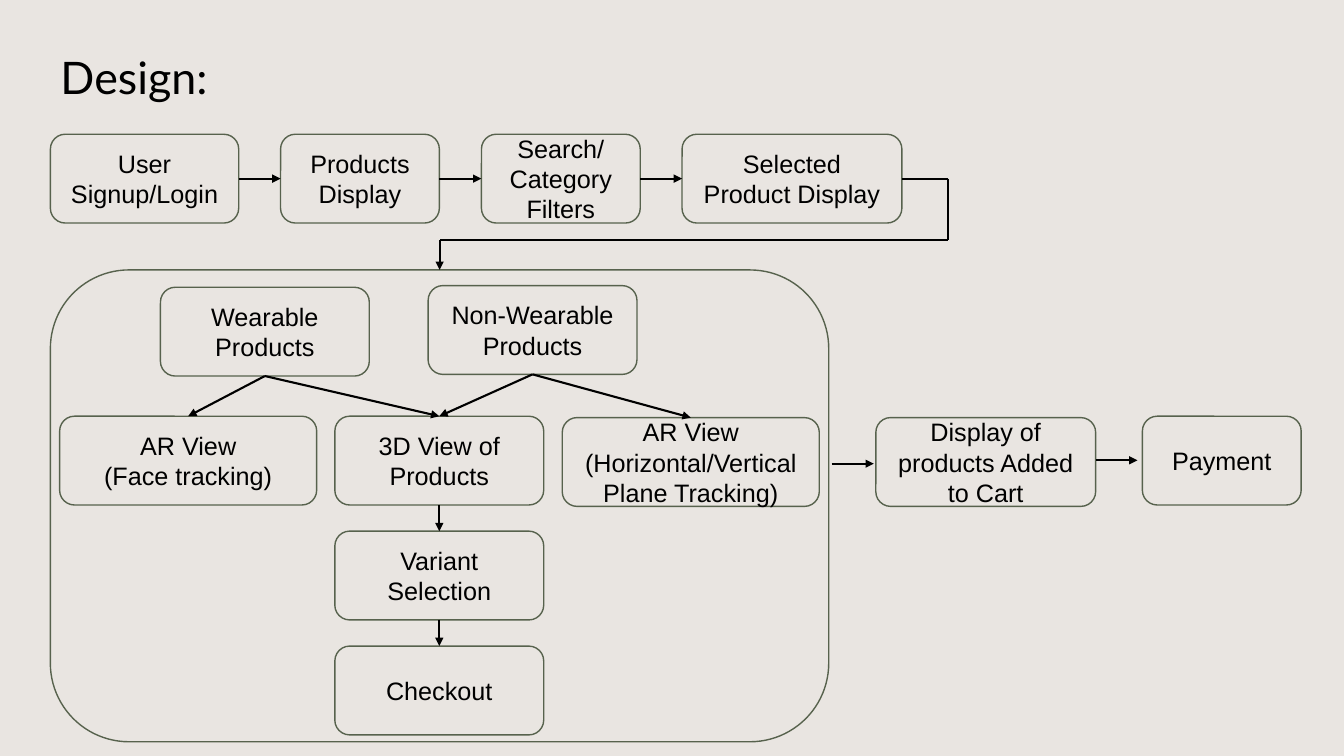
from itertools import pairwise

from pptx import Presentation
from pptx.dml.color import RGBColor
from pptx.enum import shapes, text
from pptx.oxml import parse_xml
from pptx.oxml.ns import nsdecls
from pptx.util import Pt

COLORS = {"background": "E9E5E1", "outline": "57624D", "ink": "000000"}
TITLE = ("Design:", (36, 28.8, 858.2, 51.8))
BOX_H = 63.4
CONTAINER = (36, 192.8, 556, 337)

# key: (left, top, width, paragraphs)
BOXES = {
    "signup": (36, 95.9, 134.5, ["User Signup/Login"]),
    "products": (200.4, 95.9, 113.4, ["Products Display"]),
    "search": (343.9, 95.9, 113.4, ["Search/", "Category Filters"]),
    "selected": (487.2, 95.9, 157, ["Selected Product Display"]),
    "wearable": (114.6, 205.2, 149.2, ["Wearable Products"]),
    "non_wearable": (305.8, 204, 149.2, ["Non-Wearable Products"]),
    "face_ar": (42.6, 297.3, 183.6, ["AR View", "(Face tracking)"]),
    "view_3d": (239.2, 297.3, 149.2, ["3D View of Products"]),
    "plane_ar": (401.6, 298.3, 183.6,
                 ["AR View (Horizontal/Vertical Plane Tracking)"]),
    "variant": (239.2, 379.4, 149.2, ["Variant Selection"]),
    "checkout": (239.2, 461.5, 149.2, ["Checkout"]),
    "cart": (625.6, 298.3, 157, ["Display of", "products Added to Cart"]),
    "payment": (816, 297.3, 113.4, ["Payment"]),
}
ACROSS = [("signup", "products"), ("products", "search"),
          ("search", "selected")]
DOWN = [("wearable", "face_ar"), ("wearable", "view_3d"),
        ("non_wearable", "view_3d"), ("non_wearable", "plane_ar"),
        ("view_3d", "variant"), ("variant", "checkout")]
TOP, LEFT, BOTTOM, RIGHT = range(4)  # connection sites of a rounded box


def rgb(name):
    return RGBColor.from_string(COLORS[name])


def style_text(tf, size, font, align):
    tf.word_wrap = True
    tf.vertical_anchor = text.MSO_ANCHOR.MIDDLE
    for p in tf.paragraphs:
        p.alignment = align
        for r in p.runs:
            for name, value in {"size": Pt(size), "name": font, "bold": False}.items():
                setattr(r.font, name, value)
            r.font.color.rgb = rgb("ink")


def add_box(left, top, width, height, paragraphs=()):
    sp = slide.shapes.add_shape(shapes.MSO_SHAPE.ROUNDED_RECTANGLE,
                                *map(Pt, (left, top, width, height)))
    sp.shadow.inherit = False
    sp.fill.background()
    sp.line.color.rgb = rgb("outline")
    sp.line.width = Pt(1)
    if paragraphs:
        sp.text_frame.text = "\n".join(paragraphs)
        style_text(sp.text_frame, 18, "Arial", text.PP_ALIGN.CENTER)
    return sp


def add_line(start=(0, 0), end=(0, 0), arrow=True):
    line = slide.shapes.add_connector(shapes.MSO_CONNECTOR.STRAIGHT,
                                      *map(Pt, (*start, *end)))
    line.line.color.rgb = rgb("ink")
    line.line.width = Pt(1.5)
    if arrow:
        line.line._get_or_add_ln().append(
            parse_xml(f'<a:tailEnd {nsdecls("a")} type="triangle"/>'))
    line._element.spPr.append(parse_xml(f'<a:effectLst {nsdecls("a")}/>'))
    return line


def link(source, source_site, target, target_site):
    """Draw an arrow glued to both boxes."""
    line = add_line()
    line.begin_connect(boxes[source], source_site)
    line.end_connect(boxes[target], target_site)


prs = Presentation()
prs.slide_width, prs.slide_height = Pt(960), Pt(540)
slide = prs.slides.add_slide(prs.slide_layouts[5])
slide.background.fill.solid()
slide.background.fill.fore_color.rgb = rgb("background")

title = slide.shapes.title
for side, value in zip(("left", "top", "width", "height"), TITLE[1]):
    setattr(title, side, Pt(value))
title.text_frame.text = TITLE[0]
style_text(title.text_frame, 32, "Lato", text.PP_ALIGN.LEFT)

add_box(*CONTAINER)
boxes = {key: add_box(left, top, width, BOX_H, paragraphs)
         for key, (left, top, width, paragraphs) in BOXES.items()}

for source, target in ACROSS:
    link(source, RIGHT, target, LEFT)
for source, target in DOWN:
    link(source, BOTTOM, target, TOP)
add_line((594, 331.2), (624.2, 331.2))
add_line((782.6, 328.8), (812.5, 328.8))

# Route from the selected product round to the top of the container
left, top, width, _ = BOXES["selected"]
row_y = top + BOX_H / 2
turn_x, turn_y = 677, 171.4
centre_x = CONTAINER[0] + CONTAINER[2] / 2
route = [(left + width, row_y), (turn_x, row_y), (turn_x, turn_y),
         (centre_x, turn_y), (centre_x, CONTAINER[1])]
for start, end in pairwise(route):
    add_line(start, end, arrow=end == route[-1])

prs.save("out.pptx")
